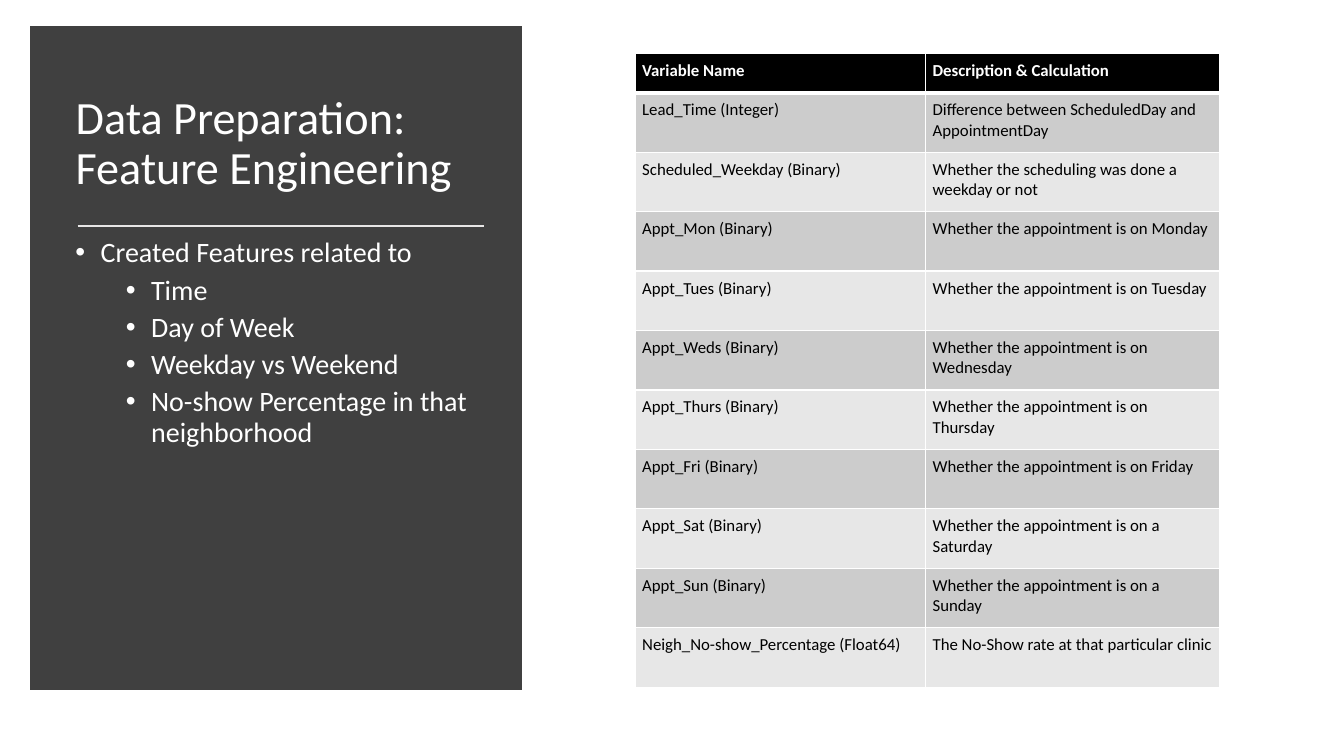
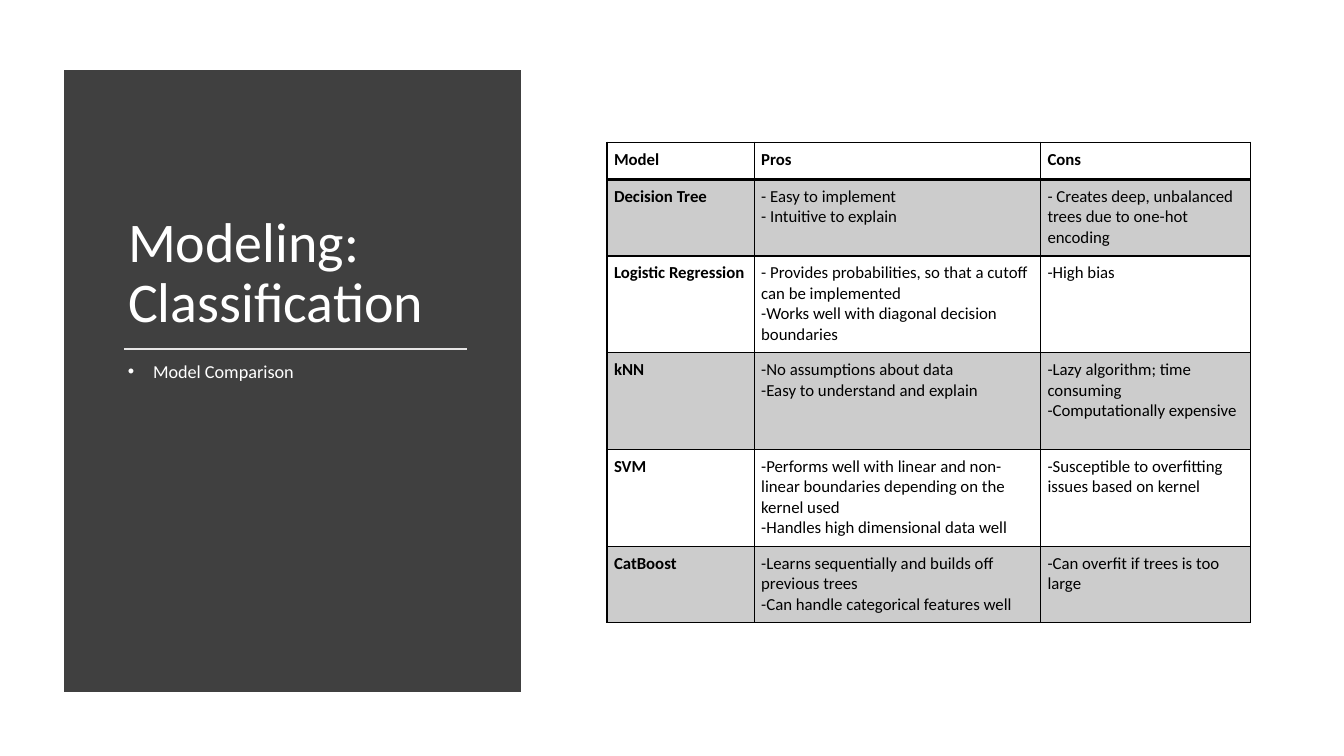
import pptx
import pptx.util
import pptx.dml.color
import pptx.enum.shapes
import pptx.enum.text
import pptx.oxml
import pptx.oxml.ns
import lxml.etree

PX = 9144  # EMU in one px, 100 px to the inch
FONT = "Calibri"
PANEL, RULE = "404040", "E7E6E6"
WHITE, BLACK, GREY, PALE = "FFFFFF", "000000", "CCCCCC", "E7E7E7"

color = pptx.dml.color.RGBColor.from_string
qn = pptx.oxml.ns.qn
left = pptx.enum.text.PP_ALIGN.LEFT
anchor = pptx.enum.text.MSO_ANCHOR


def write(par, text, size, hue, bold=False):
    run = par.add_run()
    run.text = text
    run.font.name = FONT
    run.font.size = pptx.util.Pt(size)
    run.font.bold = bold
    run.font.color.rgb = color(hue)


def border(cell, side, hue, points):
    props = cell._tc.get_or_add_tcPr()
    line = lxml.etree.SubElement(props, qn("a:ln" + side), w=str(points * 12700))
    fill = lxml.etree.SubElement(line, qn("a:solidFill"))
    lxml.etree.SubElement(fill, qn("a:srgbClr"), val=hue)


# Content: boxes are left, top, width, height; bullets are level and text
days = [("Mon", "Monday"), ("Tues", "Tuesday"), ("Weds", "Wednesday"),
        ("Thurs", "Thursday"), ("Fri", "Friday"),
        ("Sat", "a Saturday"), ("Sun", "a Sunday")]

pages = [
    {
        "panel": (37, 33, 474, 645),
        "title": "Data Preparation: Feature Engineering",
        "place": (65, 70, 418, 147), "size": 33, "anchor": anchor.MIDDLE,
        "rule": (77, 480, 224),
        "body": (65, 232, 418, 413), "points": 20,
        "bullets": [
            (0, "Created Features related to"),
            (1, "Time"),
            (1, "Day of Week"),
            (1, "Weekday vs Weekend"),
            (1, "No-show Percentage in that neighborhood"),
        ],
        "corner": (630, 53), "cols": [288, 292], "rows": [39] + [59] * 10,
        "grid": WHITE, "thick": 3, "head": (BLACK, WHITE),
        "bands": (GREY, PALE), "bold": False,
        "cells": [
            ("Variable Name", "Description & Calculation"),
            ("Lead_Time (Integer)",
             "Difference between ScheduledDay and AppointmentDay"),
            ("Scheduled_Weekday (Binary)",
             "Whether the scheduling was done a weekday or not"),
            *[(f"Appt_{short} (Binary)", f"Whether the appointment is on {day}")
              for short, day in days],
            ("Neigh_No-show_Percentage (Float64)",
             "The No-Show rate at that particular clinic"),
        ],
    },
    {
        "panel": (70, 76, 440, 604),
        "title": "Modeling: Classification",
        "place": (117, 111, 344, 226), "size": 40, "anchor": anchor.BOTTOM,
        "rule": (123, 463, 346),
        "body": (117, 355, 344, 244), "points": 13,
        "bullets": [(0, "Model Comparison")],
        "corner": (602, 141), "cols": [146, 284, 208],
        "rows": [37, 76, 96, 96, 96, 76],
        "grid": BLACK, "thick": 2, "head": (WHITE, BLACK),
        "bands": (GREY, WHITE), "bold": True,
        "cells": [
            ("Model", "Pros", "Cons"),
            ("Decision Tree",
             "- Easy to implement\n- Intuitive to explain",
             "- Creates deep, unbalanced trees due to one-hot encoding"),
            ("Logistic Regression",
             "- Provides probabilities, so that a cutoff can be implemented\n"
             "-Works well with diagonal decision boundaries",
             "-High bias"),
            ("kNN",
             "-No assumptions about data\n-Easy to understand and explain",
             "-Lazy algorithm; time consuming\n-Computationally expensive"),
            ("SVM",
             "-Performs well with linear and non-linear boundaries depending "
             "on the kernel used\n-Handles high dimensional data well",
             "-Susceptible to overfitting issues based on kernel"),
            ("CatBoost",
             "-Learns sequentially and builds off previous trees\n"
             "-Can handle categorical features well",
             "-Can overfit if trees is too large"),
        ],
    },
]

deck = pptx.Presentation()
deck.slide_width = 1333 * PX
deck.slide_height = 750 * PX

for page in pages:
    slide = deck.slides.add_slide(deck.slide_layouts[5])
    shapes = slide.shapes
    title = shapes.title

    # Dark panel, behind the title
    panel = shapes.add_shape(pptx.enum.shapes.MSO_SHAPE.RECTANGLE,
                             *[n * PX for n in page["panel"]])
    panel.shadow.inherit = False
    panel.fill.solid()
    panel.fill.fore_color.rgb = color(PANEL)
    panel.line.color.rgb = color(PANEL)
    panel.line.width = pptx.util.Pt(10)
    edge = panel.element.spPr.find(qn("a:ln"))
    lxml.etree.SubElement(edge, qn("a:miter"), lim="800000")
    title.element.addprevious(panel.element)

    # Title
    title.left, title.top, title.width, title.height = [
        n * PX for n in page["place"]]
    frame = title.text_frame
    frame.word_wrap = True
    frame.auto_size = pptx.enum.text.MSO_AUTO_SIZE.NONE
    frame.vertical_anchor = page["anchor"]
    par = frame.paragraphs[0]
    par.alignment = left
    par.line_spacing = 0.9
    write(par, page["title"], page["size"], WHITE)

    # Rule under the title
    start, end, y = [n * PX for n in page["rule"]]
    rule = shapes.add_connector(pptx.enum.shapes.MSO_CONNECTOR.STRAIGHT,
                                start, y, end, y)
    rule.line.color.rgb = color(RULE)
    rule.line.width = pptx.util.Pt(1.75)
    lxml.etree.SubElement(rule.element.spPr, qn("a:effectLst"))

    # Bullets
    frame = shapes.add_textbox(*[n * PX for n in page["body"]]).text_frame
    frame.word_wrap = True
    for i, (level, text) in enumerate(page["bullets"]):
        par = frame.add_paragraph() if i else frame.paragraphs[0]
        par.level = level
        par.line_spacing = 0.9
        par.space_before = pptx.util.Pt(5 if level else 10)
        props = par._p.get_or_add_pPr()
        props.set("marL", str((25 + 50 * level) * PX))
        props.set("indent", str(-25 * PX))
        lxml.etree.SubElement(props, qn("a:buFont"), typeface="Arial")
        lxml.etree.SubElement(props, qn("a:buChar"), char="•")
        write(par, text, page["points"], WHITE)

    # Table
    cols, rows = page["cols"], page["rows"]
    x, y = page["corner"]
    table = shapes.add_table(len(rows), len(cols), x * PX, y * PX,
                             sum(cols) * PX, sum(rows) * PX).table
    for col, width in zip(table.columns, cols):
        col.width = width * PX
    for row, height in zip(table.rows, rows):
        row.height = height * PX

    for r, texts in enumerate(page["cells"]):
        back, ink = (page["bands"][(r - 1) % 2], BLACK) if r else page["head"]
        for c, text in enumerate(texts):
            cell = table.cell(r, c)
            cell.margin_left = cell.margin_right = 7 * PX
            cell.margin_top = cell.margin_bottom = 7 * PX
            for side in "LRTB":
                heavy = (r, side) in [(0, "B"), (1, "T")]
                border(cell, side, page["grid"], page["thick"] if heavy else 1)
            cell.fill.solid()
            cell.fill.fore_color.rgb = color(back)
            bold = r == 0 or (c == 0 and page["bold"])
            for i, part in enumerate(text.split("\n")):
                frame = cell.text_frame
                par = frame.add_paragraph() if i else frame.paragraphs[0]
                write(par, part, 12, ink, bold)

deck.save("out.pptx")
